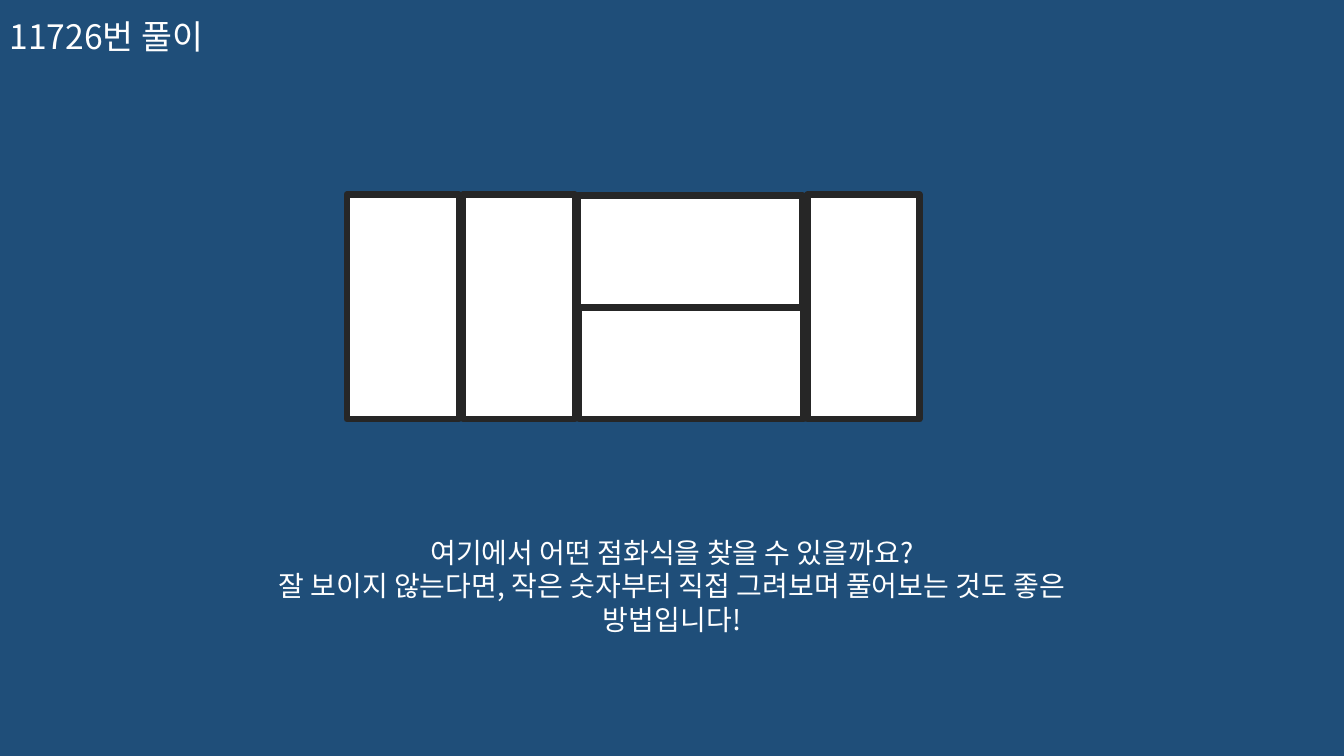
from lxml import etree
from pptx import Presentation
from pptx.dml.color import RGBColor
from pptx.enum.shapes import MSO_SHAPE
from pptx.enum.text import MSO_AUTO_SIZE, PP_ALIGN
from pptx.oxml.ns import qn
from pptx.util import Inches, Pt

RECTANGLE = MSO_SHAPE.RECTANGLE
CENTER = PP_ALIGN.CENTER
GROW = MSO_AUTO_SIZE.SHAPE_TO_FIT_TEXT
FONT = "Noto Sans CJK KR"
COLORS = {"background": "1F4E79", "white": "FFFFFF", "outline": "262626"}


def color(name):
    return RGBColor.from_string(COLORS[name])


def add_text(slide, left, top, width, height, size, lines):
    box = slide.shapes.add_textbox(Inches(left), Inches(top), Inches(width), Inches(height))
    frame = box.text_frame
    frame.word_wrap = True
    frame.auto_size = GROW
    frame.text = "\n".join(lines)
    for paragraph in frame.paragraphs:
        paragraph.alignment = CENTER
        paragraph.font.size = Pt(size)
        paragraph.font.name = FONT
        paragraph.font.color.rgb = color("white")
        # Hangul takes the East Asian typeface
        for run in paragraph.runs:
            run.font.name = FONT
            etree.SubElement(run.font._element, qn("a:ea"), typeface=FONT)


presentation = Presentation()
presentation.slide_width = Inches(13.33)
presentation.slide_height = Inches(7.5)
slide = presentation.slides.add_slide(presentation.slide_layouts[6])
slide.background.fill.solid()
slide.background.fill.fore_color.rgb = color("background")

# Title
add_text(slide, -0.01, 0.11, 2.13, 0.5, 24, ["11726번 풀이"])

# Domino tiling: left, top and rotation of each tile
TILE_WIDTH, TILE_HEIGHT = 1.11, 2.23
tiles = [
    (3.44, 1.93, 0),
    (4.59, 1.93, 0),
    (6.29, 1.38, 90),
    (6.3, 2.49, 90),
    (8.01, 1.93, 0),
]
for left, top, rotation in tiles:
    tile = slide.shapes.add_shape(
        RECTANGLE, Inches(left), Inches(top), Inches(TILE_WIDTH), Inches(TILE_HEIGHT))
    tile.rotation = rotation
    tile.shadow.inherit = False
    tile.fill.solid()
    tile.fill.fore_color.rgb = color("white")
    tile.line.color.rgb = color("outline")
    tile.line.width = Pt(4.5)

# Question below the tiling
add_text(slide, 2.07, 5.26, 9.19, 1.11, 20, [
    "여기에서 어떤 점화식을 찾을 수 있을까요?",
    "잘 보이지 않는다면, 작은 숫자부터 직접 그려보며 풀어보는 것도 좋은 방법입니다!",
])

presentation.save("out.pptx")
